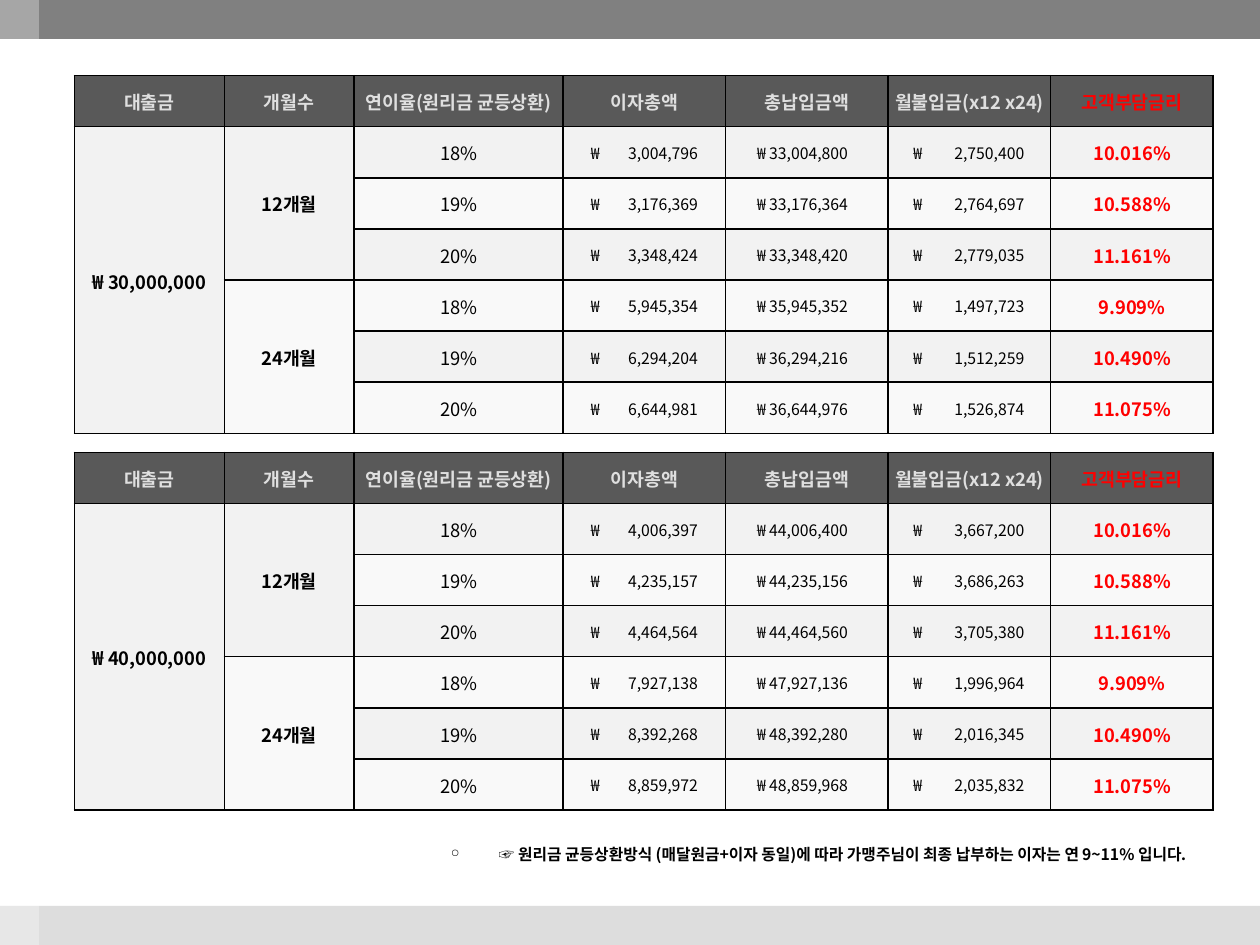
import dataclasses

import pptx
import pptx.dml.color
import pptx.enum.shapes
import pptx.enum.text
import pptx.oxml
import pptx.oxml.ns
import pptx.util
from pptx.util import Inches

ALIGN = pptx.enum.text.PP_ALIGN


@dataclasses.dataclass(frozen=True)
class Theme:
    font: str = "Noto Sans CJK KR"
    accent_font: str = "TeX Gyre Schola"
    text: str = "000000"
    highlight: str = "FF0000"
    header_text: str = "DFDFDF"
    header_fill: str = "595959"
    bands: tuple = ("F2F2F2", "F9F9F9")
    top_bar: str = "808080"
    bottom_bar: str = "DDDDDD"
    strip: str = "FFFFFF"
    body_size: float = 10.5
    small_size: float = 9
    won_size: float = 11


def rgb(value):
    return pptx.dml.color.RGBColor.from_string(value)


def xml(tag, attributes="", inner=""):
    namespace = pptx.oxml.ns.nsdecls("a")
    return pptx.oxml.parse_xml(f"<a:{tag} {namespace} {attributes}>{inner}</a:{tag}>")


class LoanSlide:
    def __init__(self, slide, theme):
        self.slide = slide
        self.theme = theme

    def style_run(self, run, size, color=None, bold=False, font=None):
        run.font.size = pptx.util.Pt(size)
        run.font.bold = bold
        run.font.color.rgb = rgb(color or self.theme.text)
        run.font.name = font or self.theme.font
        run.font._element.append(xml("ea", f'typeface="{self.theme.font}"'))

    def bar(self, left, top, width, height, color, opacity=None):
        bar = self.slide.shapes.add_shape(
            pptx.enum.shapes.MSO_SHAPE.RECTANGLE,
            Inches(left), Inches(top), Inches(width), Inches(height))
        bar.shadow.inherit = False
        bar.fill.solid()
        bar.fill.fore_color.rgb = rgb(color)
        bar.line.fill.background()
        if opacity is not None:
            tint = bar._element.spPr.find(".//" + pptx.oxml.ns.qn("a:srgbClr"))
            tint.append(xml("alpha", f'val="{opacity * 1000}"'))

    def cell(self, cell, text, fill, size=None, color=None, bold=False):
        cell.vertical_anchor = pptx.enum.text.MSO_ANCHOR.MIDDLE
        cell.margin_left = cell.margin_right = cell.margin_top = Inches(0.01)
        cell.margin_bottom = 0
        self.cell_surface(cell, fill)
        cell.text_frame.text = text
        paragraph = cell.text_frame.paragraphs[0]
        paragraph.alignment = ALIGN.CENTER
        self.style_run(paragraph.runs[0], size or self.theme.body_size, color, bold)

    def cell_surface(self, cell, fill):
        properties = cell._tc.get_or_add_tcPr()
        for side in ("lnL", "lnR", "lnT", "lnB"):
            properties.append(xml(
                side, 'w="12700"',
                f'<a:solidFill><a:srgbClr val="{self.theme.text}"/></a:solidFill>'))
        cell.fill.solid()
        cell.fill.fore_color.rgb = rgb(fill)

    def won_cell(self, cell, amount, fill, won_left, amount_right):
        """Won sign at the left, amount set against a right tab stop."""
        self.cell(cell, f"₩\t{amount:,}", fill, self.theme.small_size)
        cell.margin_left = Inches(won_left)
        paragraph = cell.text_frame.paragraphs[0]
        paragraph.alignment = ALIGN.LEFT
        stop = Inches(amount_right - won_left)
        paragraph._p.get_or_add_pPr().append(
            xml("tabLst", inner=f'<a:tab pos="{stop}" algn="r"/>'))

    def loan_table(self, top, principal, plans):
        theme = self.theme
        row_count = 1 + sum(len(rows) for rows in plans.values())
        height = 2.84
        table = self.slide.shapes.add_table(
            row_count, len(HEADINGS), Inches(0.59), Inches(top),
            Inches(sum(COLUMN_WIDTHS)), Inches(height)).table
        for column, width in zip(table.columns, COLUMN_WIDTHS):
            column.width = Inches(width)
        for row in table.rows:
            row.height = Inches(height / row_count)

        # Header row
        for index, heading in enumerate(HEADINGS):
            last = index == len(HEADINGS) - 1
            self.cell(table.cell(0, index), heading, theme.header_fill, bold=True,
                      color=theme.highlight if last else theme.header_text)

        # Principal, spanning every plan
        principal_cell = table.cell(1, 0)
        self.cell(principal_cell, "₩ ", theme.bands[0], theme.won_size, bold=True)
        amount = principal_cell.text_frame.paragraphs[0].add_run()
        amount.text = f"{principal:,}"
        self.style_run(amount, theme.body_size, bold=True)
        for row in range(2, row_count):
            self.cell_surface(table.cell(row, 0), theme.bands[0])
        principal_cell.merge(table.cell(row_count - 1, 0))

        # Plans by number of months
        row = 1
        for months, offers in plans.items():
            first = row
            term_fill = theme.bands[(first - 1) % 2]
            self.cell(table.cell(first, 1), f"{months}개월", term_fill, bold=True)
            for rate, (interest, monthly) in zip(ANNUAL_RATES, offers):
                fill = theme.bands[(row - 1) % 2]
                if row > first:
                    self.cell_surface(table.cell(row, 1), term_fill)
                self.cell(table.cell(row, 2), rate, fill)
                amounts = (interest, monthly * months, monthly)
                for column, (value, stops) in enumerate(zip(amounts, WON_STOPS), 3):
                    self.won_cell(table.cell(row, column), value, fill, *stops)
                customer_rate = interest / principal / (months / 12)
                self.cell(table.cell(row, 6), f"{customer_rate:.3%}", fill,
                          color=theme.highlight, bold=True)
                row += 1
            table.cell(first, 1).merge(table.cell(row - 1, 1))

    def note(self, text, ending):
        box = self.slide.shapes.add_textbox(
            Inches(0.51), Inches(6.58), Inches(9), Inches(0.55))
        box.text_frame.word_wrap = True
        paragraph = box.text_frame.paragraphs[0]
        paragraph.text = text
        paragraph.alignment = ALIGN.RIGHT
        paragraph.line_spacing = 1.5
        paragraph.space_before = pptx.util.Pt(1.8)
        size = self.theme.small_size
        self.style_run(paragraph.runs[0], size, bold=True)
        full_stop = paragraph.add_run()
        full_stop.text = ending
        self.style_run(full_stop, size, bold=True, font=self.theme.accent_font)
        properties = paragraph._p.get_or_add_pPr()
        properties.set("marL", str(Inches(0.38)))
        properties.set("indent", str(-Inches(0.38)))
        properties.append(xml("buSzPct", 'val="70000"'))
        properties.append(xml("buChar", 'char="○"'))


HEADINGS = ("대출금", "개월수", "연이율(원리금 균등상환)", "이자총액",
            "총납입금액", "월불입금(x12 x24)", "고객부담금리")
COLUMN_WIDTHS = (1.19, 1.03, 1.66, 1.29, 1.29, 1.29, 1.29)
WON_STOPS = ((0.22, 1.07), (0.25, 0.97), (0.2, 1.08))
ANNUAL_RATES = ("18%", "19%", "20%")

# Principal -> months -> (total interest, monthly payment) for each annual rate
LOANS = {
    30_000_000: {
        12: ((3004796, 2750400), (3176369, 2764697), (3348424, 2779035)),
        24: ((5945354, 1497723), (6294204, 1512259), (6644981, 1526874)),
    },
    40_000_000: {
        12: ((4006397, 3667200), (4235157, 3686263), (4464564, 3705380)),
        24: ((7927138, 1996964), (8392268, 2016345), (8859972, 2035832)),
    },
}


def main():
    presentation = pptx.Presentation()
    presentation.slide_width = Inches(10)
    presentation.slide_height = Inches(7.5)
    theme = Theme()
    page = LoanSlide(presentation.slides.add_slide(presentation.slide_layouts[6]), theme)

    # Frame bars
    page.bar(0, 7.19, 10, 0.31, theme.bottom_bar)
    page.bar(0, 0, 10, 0.31, theme.top_bar)
    page.bar(0, 0, 0.31, 7.5, theme.strip, opacity=30)

    # Footnote
    page.note("☞ 원리금 균등상환방식 (매달원금+이자 동일)에 따라 가맹주님이 "
              "최종 납부하는 이자는 연 9~11% 입니다", ".")

    # Loan tables
    for top, (principal, plans) in zip((0.6, 3.59), LOANS.items()):
        page.loan_table(top, principal, plans)

    presentation.save("out.pptx")


if __name__ == "__main__":
    main()
